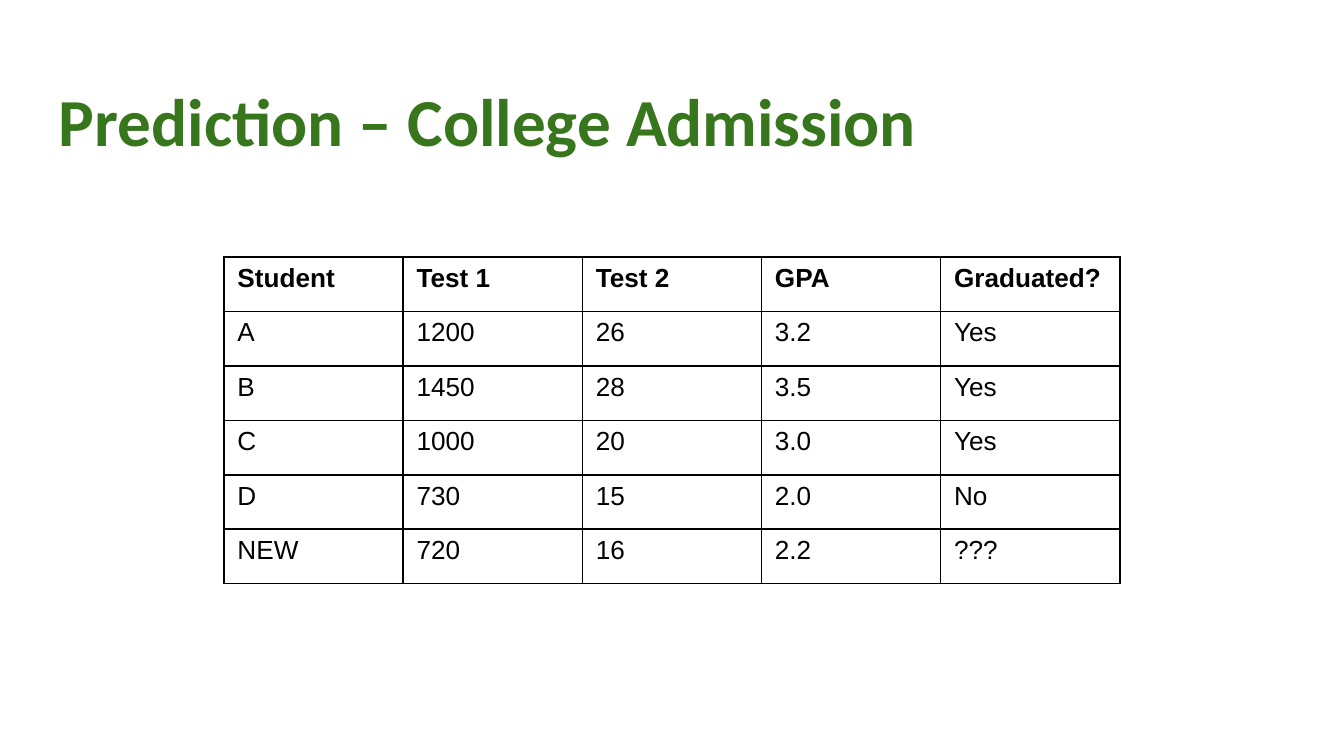
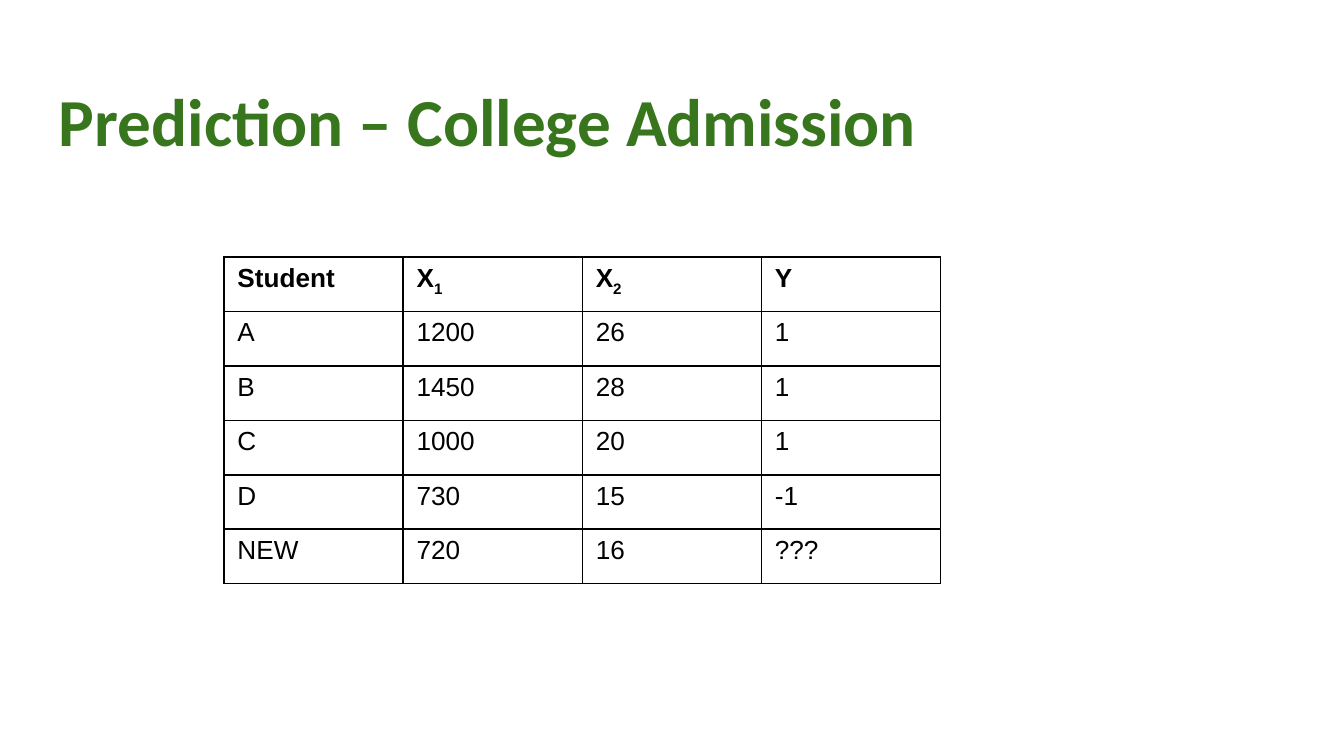
from dataclasses import dataclass

from lxml import etree
from pptx import Presentation
from pptx.dml.color import RGBColor
from pptx.enum.text import MSO_ANCHOR
from pptx.oxml.ns import qn
from pptx.util import Emu, Pt

TOP = MSO_ANCHOR.TOP

TITLE = "Prediction – College Admission"
# A tuple in a cell is a base text with its subscript.
TABLES = [
    [
        ("Student", "Test 1", "Test 2", "GPA", "Graduated?"),
        ("A", "1200", "26", "3.2", "Yes"),
        ("B", "1450", "28", "3.5", "Yes"),
        ("C", "1000", "20", "3.0", "Yes"),
        ("D", "730", "15", "2.0", "No"),
        ("NEW", "720", "16", "2.2", "???"),
    ],
    [
        ("Student", ("X", "1"), ("X", "2"), "Y"),
        ("A", "1200", "26", "1"),
        ("B", "1450", "28", "1"),
        ("C", "1000", "20", "1"),
        ("D", "730", "15", "-1"),
        ("NEW", "720", "16", "???"),
    ],
]


@dataclass(frozen=True)
class Theme:
    green: str = "38761D"
    black: str = "000000"
    white: str = "FFFFFF"
    head_font: str = "Calibri"
    body_font: str = "Arial"
    head_size: int = 36
    body_size: int = 14
    line: int = 1


THEME = Theme()
SCALE = 914400 / 134.4
SLIDE = (1344, 756)
HEAD = (46, 66, 1252, 85)
INSET = 13
GRID = (224, 257)
FULL = (896, 327)  # table size at five columns and six rows
COL = FULL[0] / 5
ROW = FULL[1] / 6


def px(val):
    return Emu(round(val * SCALE))


def add_run(para, text, font, size, color, bold):
    run = para.add_run()
    run.text = text
    run.font.name = font
    run.font.size = Pt(size)
    run.font.bold = bold
    run.font.color.rgb = RGBColor.from_string(color)
    return run


def add_title(slide, text):
    frame = slide.shapes.add_textbox(*map(px, HEAD)).text_frame
    frame.word_wrap = True
    frame.vertical_anchor = TOP
    frame.margin_left = frame.margin_right = px(INSET)
    frame.margin_top = frame.margin_bottom = px(INSET)
    add_run(frame.paragraphs[0], text, THEME.head_font, THEME.head_size,
            THEME.green, True)


def add_edges(cell):
    """Draw the four borders; they must come before the cell's fill."""
    props = cell._tc.get_or_add_tcPr()
    for side in ("lnL", "lnR", "lnT", "lnB"):
        edge = etree.SubElement(props, qn(f"a:{side}"), w=str(Pt(THEME.line)))
        fill = etree.SubElement(edge, qn("a:solidFill"))
        etree.SubElement(fill, qn("a:srgbClr"), val=THEME.black)


def fill_cell(cell, item, bold):
    add_edges(cell)
    cell.fill.solid()
    cell.fill.fore_color.rgb = RGBColor.from_string(THEME.white)
    cell.vertical_anchor = TOP
    parts = item if isinstance(item, tuple) else (item,)
    for num, text in enumerate(parts):
        run = add_run(cell.text_frame.paragraphs[0], text, THEME.body_font,
                      THEME.body_size, THEME.black, bold)
        if num:
            run.font._element.set("baseline", "-25000")


def add_grid(slide, rows):
    wide, high = len(rows[0]), len(rows)
    size = (wide * COL, high * ROW)
    table = slide.shapes.add_table(high, wide, *map(px, GRID + size)).table
    table.first_row = table.horz_banding = False
    for col in table.columns:
        col.width = px(COL)
    for r, row in enumerate(rows):
        table.rows[r].height = px(ROW)
        for c, item in enumerate(row):
            fill_cell(table.cell(r, c), item, r == 0)


def main():
    deck = Presentation()
    deck.slide_width, deck.slide_height = map(px, SLIDE)
    blank = deck.slide_layouts[6]
    for rows in TABLES:
        slide = deck.slides.add_slide(blank)
        add_title(slide, TITLE)
        add_grid(slide, rows)
    deck.save("out.pptx")


if __name__ == "__main__":
    main()
